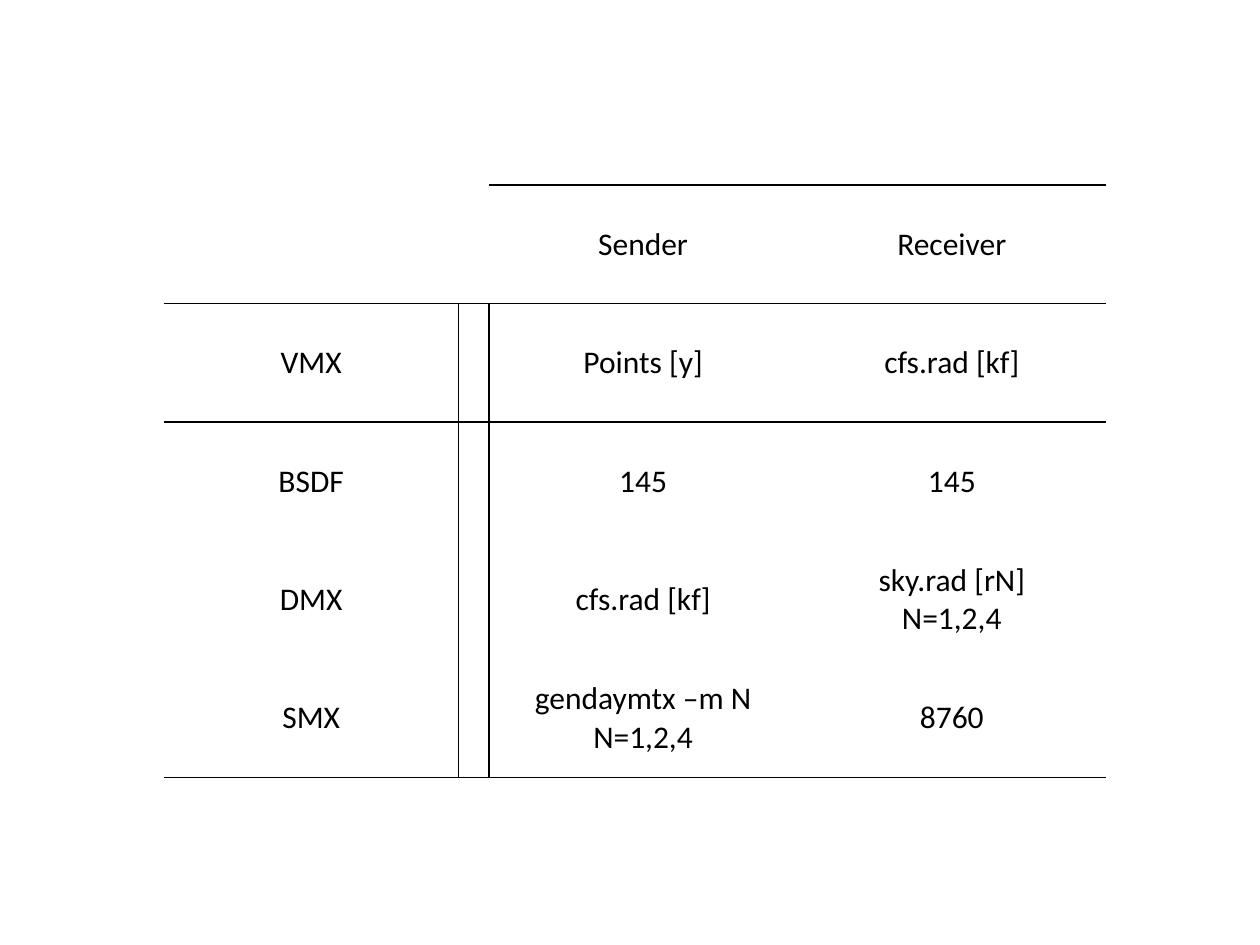
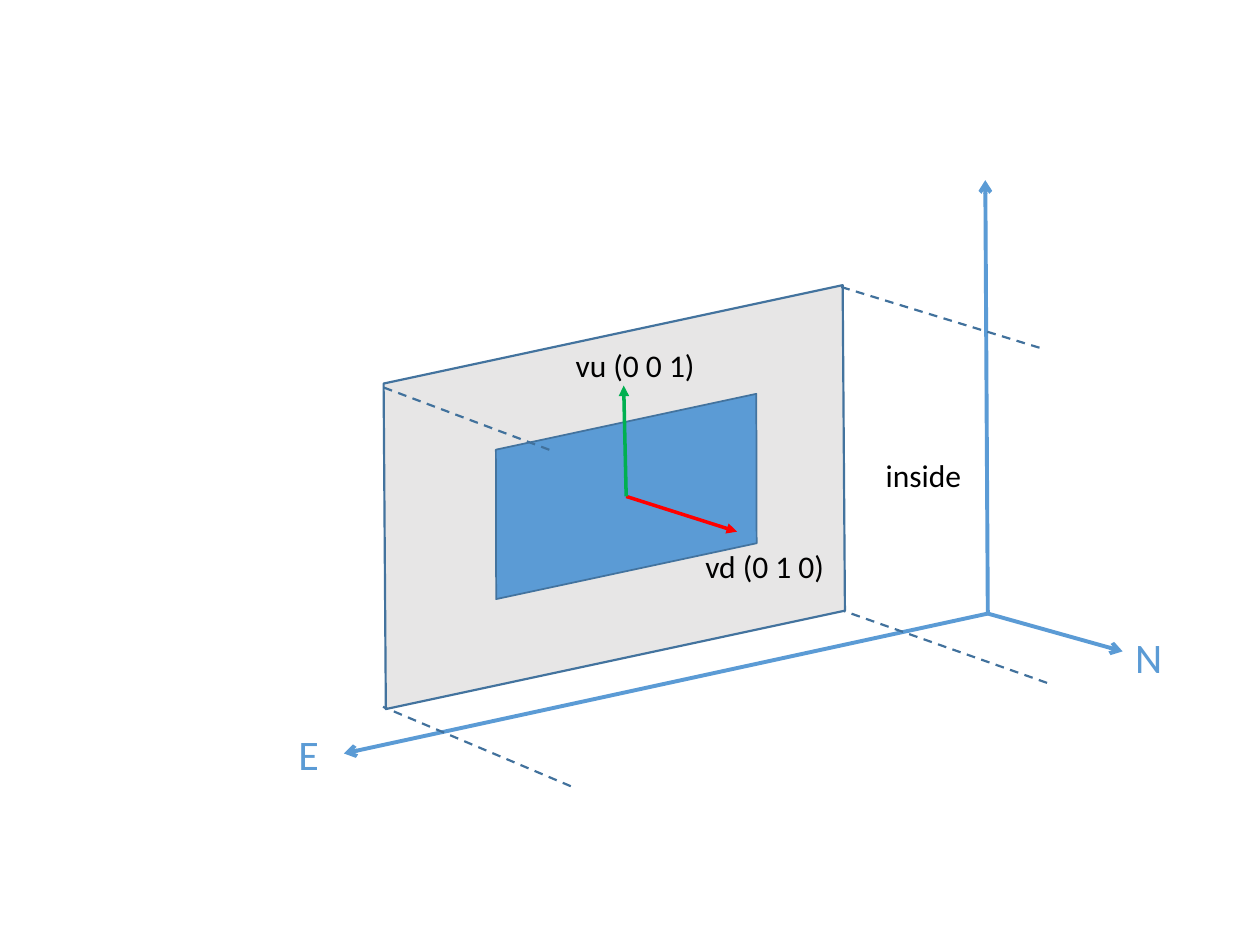
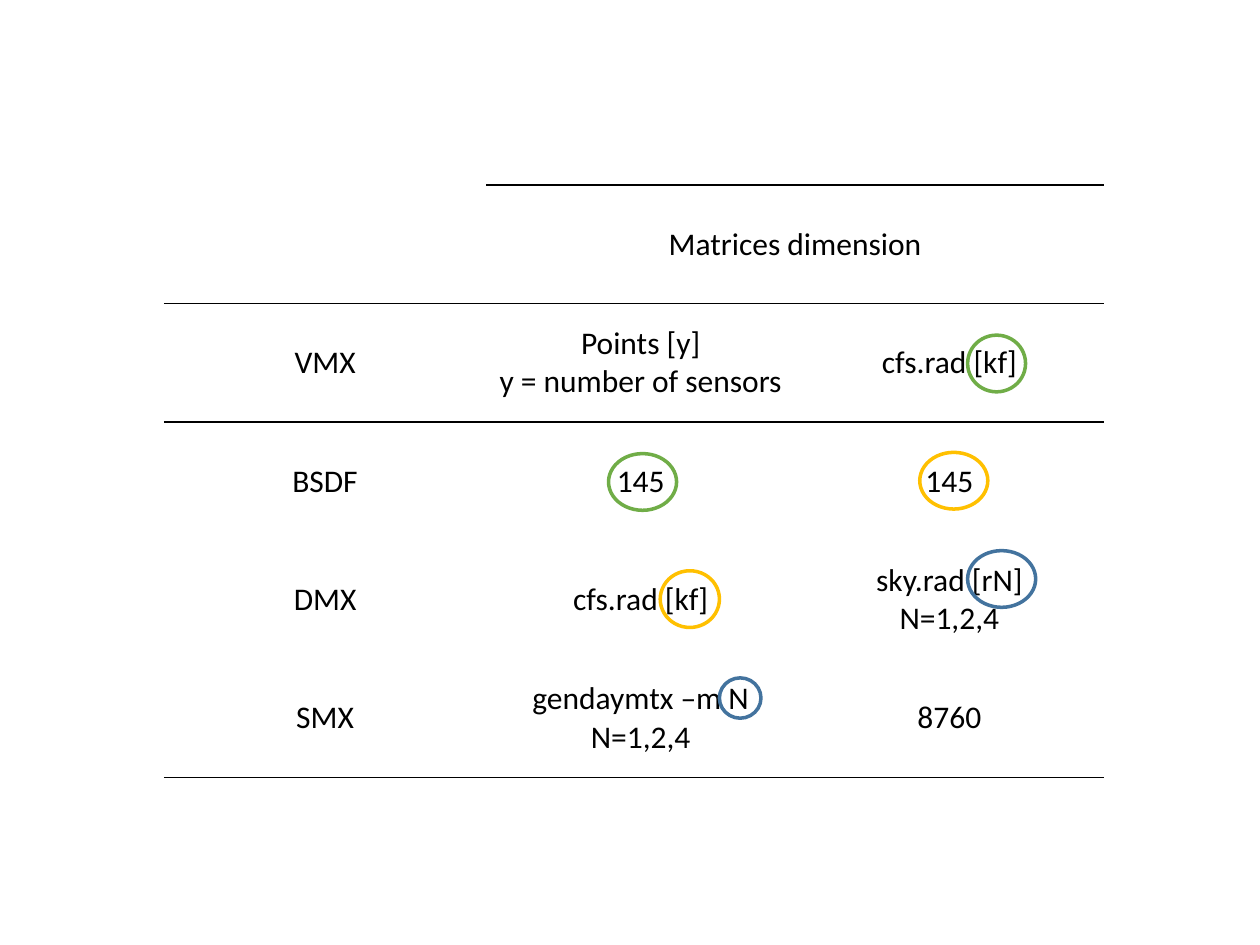
"""Build three slides on daylight matrices: two ruled tables and a window diagram."""
from lxml.etree import SubElement
from pptx import Presentation
from pptx.dml.color import RGBColor
from pptx.enum.dml import MSO_LINE
from pptx.enum.shapes import MSO_CONNECTOR, MSO_SHAPE
from pptx.enum.text import MSO_ANCHOR, MSO_AUTO_SIZE, PP_ALIGN
from pptx.oxml.ns import qn
from pptx.util import Inches, Pt

COLORS = {
    "black": "000000", "blue": "5B9BD5", "edge": "43739E", "dash": "41719C", "wall": "E7E6E6",
    "red": "FF0000", "up": "00B050", "green": "70AD47", "gold": "FFC000",
}
ROW_H = 0.94


def style_text(tf, size, color, align):
    for p in tf.paragraphs:
        p.alignment = align
        for r in p.runs:
            for name, value in {"name": "Calibri", "size": Pt(size)}.items():
                setattr(r.font, name, value)
            r.font.color.rgb = RGBColor.from_string(COLORS[color])


def add_ruled_table(s, rows, widths, first_value, rules):
    frame = s.shapes.add_table(len(rows), len(widths), Inches(1.3), Inches(1.47),
                               Inches(sum(widths)), Inches(ROW_H * len(rows)))
    table = frame.table
    table.first_row = table.horz_banding = False
    for col, width in zip(table.columns, widths):
        col.width = Inches(width)
    for i, texts in enumerate(rows):
        table.rows[i].height = Inches(ROW_H)
        for j, text in enumerate(texts):
            cell = table.cell(i, j)
            cell.text = text
            cell.vertical_anchor = MSO_ANCHOR.MIDDLE
            style_text(cell.text_frame, 18, "black", PP_ALIGN.CENTER)
            sides = {
                "lnL": i > 0 and j in rules,
                "lnR": i > 0 and j + 1 in rules,
                "lnT": i in (1, 2) or (i == 0 and j >= first_value),
                "lnB": i + 1 in (1, 2, len(rows)),
            }
            tcPr = cell._tc.get_or_add_tcPr()
            for side, ruled in sides.items():
                ln = SubElement(tcPr, qn(f"a:{side}"), w=str(Pt(1)))
                fill = SubElement(ln, qn("a:solidFill" if ruled else "a:noFill"))
                if ruled:
                    SubElement(fill, qn("a:srgbClr"), val=COLORS["black"])
            cell.fill.background()
    return table


prs = Presentation()
prs.slide_width, prs.slide_height = Inches(10), Inches(7.5)
sender_slide, window_slide, dimension_slide = [
    prs.slides.add_slide(prs.slide_layouts[6]) for _ in range(3)]

shared_rows = [
    ("BSDF", "145", "145"),
    ("DMX", "cfs.rad [kf]", "sky.rad [rN]\nN=1,2,4"),
    ("SMX", "gendaymtx –m N\nN=1,2,4", "8760"),
]
sender_rows = [("", "Sender", "Receiver"), ("VMX", "Points [y]", "cfs.rad [kf]")] + shared_rows
sender_rows = [(name, "", sender, receiver) for name, sender, receiver in sender_rows]
table = add_ruled_table(sender_slide, sender_rows, (2.34, 0.23, 2.45, 2.45), 2, (1, 2))
table.cell(0, 0).merge(table.cell(0, 1))

corner = (7.84, 4.87)
center = (4.97, 3.94)
axes = [
    (corner, (7.82, 1.43), "blue", 2.25, "arrow"),
    (corner, (2.73, 5.98), "blue", 2.25, "arrow"),
    (corner, (8.91, 5.17), "blue", 2.25, "arrow"),
]
vectors = [
    (center, (5.85, 4.22), "red", 2, "triangle"),
    (center, (4.95, 3.06), "up", 2, "triangle"),
]
depth_edges = [
    ((8.25, 2.76), (6.65, 2.27), "dash", 1.25, None),
    ((4.36, 3.57), (3.03, 3.07), "dash", 1.25, None),
    ((4.53, 6.24), (3.04, 5.61), "dash", 1.25, None),
    ((8.31, 5.42), (6.7, 4.85), "dash", 1.25, None),
]
panes = [
    (2.75, 2.68, 4.25, 2.53, 0.207, "wall", 1.25),
    (3.79, 3.36, 2.36, 1.16, 0.212, "blue", 1),
]
for lines in (axes, panes, vectors + depth_edges):
    if lines is panes:
        for x, y, w, h, slant, fill, weight in panes:
            sp = window_slide.shapes.add_shape(
                MSO_SHAPE.PARALLELOGRAM, Inches(x), Inches(y), Inches(w), Inches(h))
            sp.shadow.inherit = False
            sp.rotation = 167.9
            sp.adjustments[0] = slant
            sp.fill.solid()
            sp.fill.fore_color.rgb = RGBColor.from_string(COLORS[fill])
            sp.line.color.rgb = RGBColor.from_string(COLORS["edge"])
            sp.line.width = Pt(weight)
        continue
    for start, end, color, weight, head in lines:
        cx = window_slide.shapes.add_connector(
            MSO_CONNECTOR.STRAIGHT, *[Inches(v) for v in start + end])
        cx.line.color.rgb = RGBColor.from_string(COLORS[color])
        cx.line.width = Pt(weight)
        spPr = cx._element.spPr
        if head:
            SubElement(spPr.find(qn("a:ln")), qn("a:tailEnd"), type=head)
        else:
            cx.line.dash_style = MSO_LINE.DASH
        SubElement(spPr, qn("a:effectLst"))

labels = [
    ("inside", 6.93, 3.57, 0.81, 0.4, 18, "black"),
    ("vd (0 1 0)", 5.5, 4.29, 1.16, 0.4, 18, "black"),
    ("vu (0 0 1)", 4.47, 2.7, 1.16, 0.4, 18, "black"),
    ("N", 8.91, 4.96, 0.42, 0.5, 24, "blue"),
    ("E", 2.27, 5.73, 0.37, 0.5, 24, "blue"),
]
for text, x, y, w, h, size, color in labels:
    tf = window_slide.shapes.add_textbox(Inches(x), Inches(y), Inches(w), Inches(h)).text_frame
    tf.text = text
    tf.word_wrap = False
    tf.auto_size = MSO_AUTO_SIZE.SHAPE_TO_FIT_TEXT
    style_text(tf, size, color, PP_ALIGN.LEFT)

dimension_rows = [
    ("", "Matrices dimension", ""),
    ("VMX", "Points [y]\ny = number of sensors", "cfs.rad [kf]"),
] + shared_rows
table = add_ruled_table(dimension_slide, dimension_rows, (2.56, 2.45, 2.45), 1, ())
table.cell(0, 1).merge(table.cell(0, 2))

rings = [
    (7.68, 4.37, 0.54, 0.45, "edge"),
    (5.71, 5.38, 0.33, 0.32, "edge"),
    (5.24, 4.53, 0.47, 0.45, "gold"),
    (7.3, 3.59, 0.54, 0.45, "gold"),
    (4.83, 3.6, 0.54, 0.45, "green"),
    (7.68, 2.66, 0.46, 0.45, "green"),
]
for x, y, w, h, color in rings:
    sp = dimension_slide.shapes.add_shape(
        MSO_SHAPE.OVAL, Inches(x), Inches(y), Inches(w), Inches(h))
    sp.shadow.inherit = False
    sp.fill.background()
    sp.line.color.rgb = RGBColor.from_string(COLORS[color])
    sp.line.width = Pt(2)

prs.save("out.pptx")
